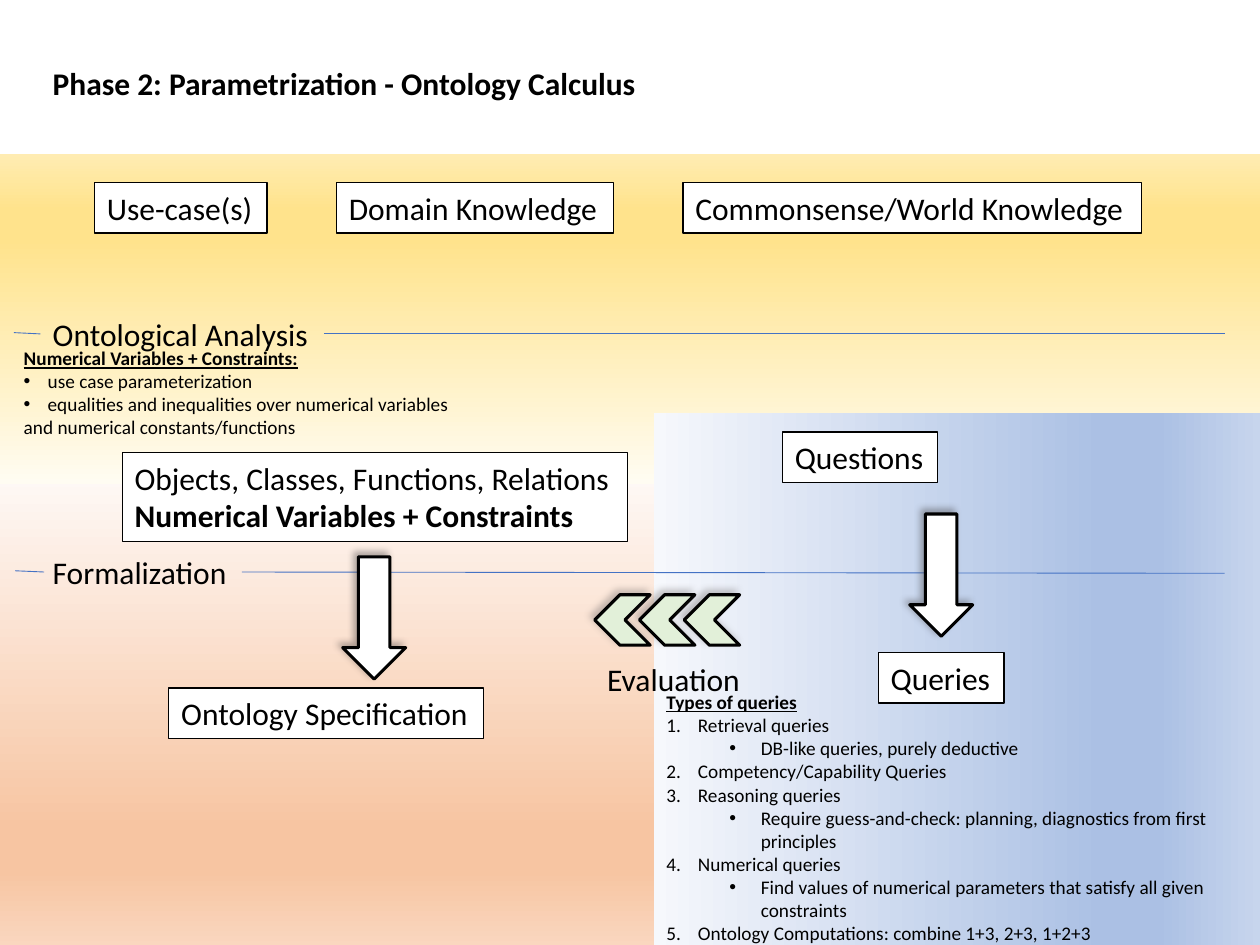
from dataclasses import dataclass

from pptx import Presentation
from pptx import util as u
from pptx.dml.color import RGBColor
from pptx.enum import shapes, text
from pptx.oxml import parse_xml
from pptx.oxml.ns import nsdecls, qn

Inches = u.Inches
Kind = shapes.MSO_SHAPE


@dataclass(frozen=True)
class Theme:
    """Colours, type sizes and line widths of the slide."""
    font: str = "Calibri"
    big: int = 18
    small: int = 11
    ink: str = "000000"
    paper: str = "FFFFFF"
    rule: str = "4472C4"
    mint: str = "E2F0D9"
    dark: str = "3B3838"
    grey: str = "767171"
    peach: tuple = ("FEF8F5", "F7C5A2", "F7C5A2", "FAD8C1")
    gold: tuple = ("FFFCF2", "FFE38C", "FFE38C", "FFECB2")
    sky: tuple = ("F6F8FC", "ABC0E4", "ABC0E4", "C7D5ED")
    stops: tuple = (0, 74, 83, 100)
    thin: float = 0.5
    edge: float = 0.75
    bold: float = 1.75


THEME = Theme()
DOT = '<a:buChar {} char="•"/>'
NUM = '<a:buAutoNum {} type="arabicPeriod"/>'
LISTS = {"dot": (0, 0.19, 0.19, DOT), "num": (0, 0.25, 0.25, NUM),
         "sub": (1, 0.75, 0.25, DOT)}

BOXES = [
    (0.75, 1.45, 1.37, 0.4, [("Use-case(s)", "")]),
    (2.67, 1.45, 2.2, 0.4, [("Domain Knowledge", "")]),
    (5.42, 1.45, 3.64, 0.4, [("Commonsense/World Knowledge", "")]),
    (0.97, 3.59, 4.01, 0.71, [("Objects, Classes, Functions, Relations", ""),
                              ("Numerical Variables + Constraints", "bold")]),
    (6.21, 3.43, 1.23, 0.4, [("Questions", "")]),
    (1.34, 5.46, 2.5, 0.4, [("Ontology Specification", "")]),
    (6.97, 5.18, 1, 0.4, [("Queries", "")]),
]
TYPES = [
    ("Types of queries", "head"),
    ("Retrieval queries", "num"),
    ("DB-like queries, purely deductive", "sub"),
    ("Competency/Capability Queries", "num"),
    ("Reasoning queries", "num"),
    ("Require guess-and-check: planning, diagnostics from first principles", "sub"),
    ("Numerical queries", "num"),
    ("Find values of numerical parameters that satisfy all given constraints", "sub"),
    ("Ontology Computations: combine 1+3, 2+3, 1+2+3", "num"),
]
LIMITS = [
    ("Numerical Variables + Constraints:", "head"),
    ("use case parameterization", "dot"),
    ("equalities and inequalities over numerical variables", "dot"),
    ("and numerical constants/functions", ""),
]


def color(code):
    """Turn a hex code into a colour."""
    return RGBColor.from_string(code)


def bullet(para, style):
    """Give a paragraph its list level, indent and marker."""
    level, left, hang, mark = LISTS[style]
    para.level = level
    props = para._p.get_or_add_pPr()
    props.set("marL", str(Inches(left)))
    props.set("indent", str(-Inches(hang)))
    if mark == DOT:
        props.append(parse_xml(f'<a:buFont {nsdecls("a")} typeface="Arial"/>'))
    props.append(parse_xml(mark.format(nsdecls("a"))))


def write(shape, lines, size, wrap=False):
    """Fill a shape with styled lines of text."""
    frame = shape.text_frame
    frame.text = "\n".join(line for line, _ in lines)
    frame.word_wrap = wrap
    frame.auto_size = text.MSO_AUTO_SIZE.SHAPE_TO_FIT_TEXT
    frame.vertical_anchor = text.MSO_ANCHOR.TOP
    for para, (_, style) in zip(frame.paragraphs, lines):
        para.alignment = text.PP_ALIGN.LEFT
        if style in LISTS:
            bullet(para, style)
        for run in para.runs:
            font = run.font
            font.name, font.size = THEME.font, u.Pt(size)
            font.color.rgb = color(THEME.ink)
            font.bold = style in ("head", "bold")
            font.underline = style == "head"


def label(tree, area, lines, size=THEME.big, wrap=False):
    """Add a text box."""
    box = tree.add_textbox(*map(Inches, area))
    write(box, lines, size, wrap)
    return box


def block(tree, kind, area, fill, width):
    """Add a filled preset shape with a black outline."""
    shape = tree.add_shape(kind, *map(Inches, area))
    shape.shadow.inherit = False
    shape.fill.solid()
    shape.fill.fore_color.rgb = color(fill)
    shape.line.color.rgb = color(THEME.ink)
    shape.line.width = u.Pt(width)
    return shape


def band(tree, area, tints, angle):
    """Add a background panel with a linear gradient."""
    shape = tree.add_shape(Kind.RECTANGLE, *map(Inches, area))
    shape.shadow.inherit = False
    shape.line.fill.background()
    shape.fill.gradient()
    shape.fill.gradient_angle = angle
    stops = "".join(f'<a:gs pos="{spot * 1000}"><a:srgbClr val="{tint}"/></a:gs>'
                    for spot, tint in zip(THEME.stops, tints))
    grad = shape._element.spPr.find(qn("a:gradFill"))
    grad.replace(grad.find(qn("a:gsLst")),
                 parse_xml(f'<a:gsLst {nsdecls("a")}>{stops}</a:gsLst>'))


def shade(shape, tint):
    """Cast a soft shadow up and to the left."""
    list_ = shape._element.spPr.find(qn("a:effectLst"))
    list_.append(parse_xml(
        f'<a:outerShdw {nsdecls("a")} blurRad="{u.Pt(4)}" dist="{u.Pt(3)}" '
        f'dir="13500000" algn="br" rotWithShape="0"><a:srgbClr val="{tint}">'
        '<a:alpha val="40000"/></a:srgbClr></a:outerShdw>'))


def rule(tree, start, end, box=None, side=3):
    """Add a thin line, joined to a box side if one is given."""
    line = tree.add_connector(shapes.MSO_CONNECTOR.STRAIGHT,
                              *map(Inches, start + end))
    if box is not None:
        line.begin_connect(box, side)
    line.line.color.rgb = color(THEME.rule)
    line.line.width = u.Pt(THEME.thin)
    line._element.spPr.append(parse_xml(f'<a:effectLst {nsdecls("a")}/>'))


def arrow(tree, left, top):
    """Add a block arrow pointing down."""
    shade(block(tree, Kind.DOWN_ARROW, (left, top, 0.5, 0.97),
                THEME.paper, THEME.bold), THEME.dark)


def evaluate(tree):
    """Add the grouped chevrons with their caption."""
    group = tree.add_group_shape().shapes
    for step in range(3):
        mark = block(group, Kind.CHEVRON, (4.72 + 0.355 * step, 4.72, 0.44, 0.4),
                     THEME.mint, THEME.bold)
        mark.rotation = 180
        shade(mark, THEME.grey)
    label(group, (4.72, 5.19, 1.27, 0.4), [("Evaluation", "")])


def main():
    """Build and save the slide."""
    deck = Presentation()
    deck.slide_width, deck.slide_height = Inches(10), Inches(7.5)
    tree = deck.slides.add_slide(deck.slide_layouts[6]).shapes
    band(tree, (0, 3.8, 10, 3.75), THEME.peach, 270)
    band(tree, (0, 1.22, 10, 2.62), THEME.gold, 90)
    band(tree, (5.19, 3.28, 4.81, 4.27), THEME.sky, 0)
    label(tree, (0.32, 0.46, 4.87, 0.4),
          [("Phase 2: Parametrization - Ontology Calculus", "bold")])
    for *area, lines in BOXES:
        box = block(tree, Kind.RECTANGLE, area, THEME.paper, THEME.edge)
        write(box, lines, THEME.big)
    study = label(tree, (0.32, 2.45, 2.25, 0.4), [("Ontological Analysis", "")])
    formal = label(tree, (0.32, 4.34, 1.6, 0.4), [("Formalization", "")])
    rule(tree, (2.57, 2.65), (9.72, 2.65), study)
    rule(tree, (0.32, 2.65), (0.11, 2.64), study, 1)
    rule(tree, (1.92, 4.55), (9.72, 4.55), formal)
    rule(tree, (0.35, 4.54), (0.12, 4.53))
    arrow(tree, 2.72, 4.42)
    arrow(tree, 7.22, 4.08)
    evaluate(tree)
    label(tree, (5.19, 5.43, 4.81, 2.14), TYPES, THEME.small, True)
    label(tree, (0.09, 2.7, 3.63, 0.84), LIMITS, THEME.small)
    deck.save("out.pptx")


if __name__ == "__main__":
    main()
